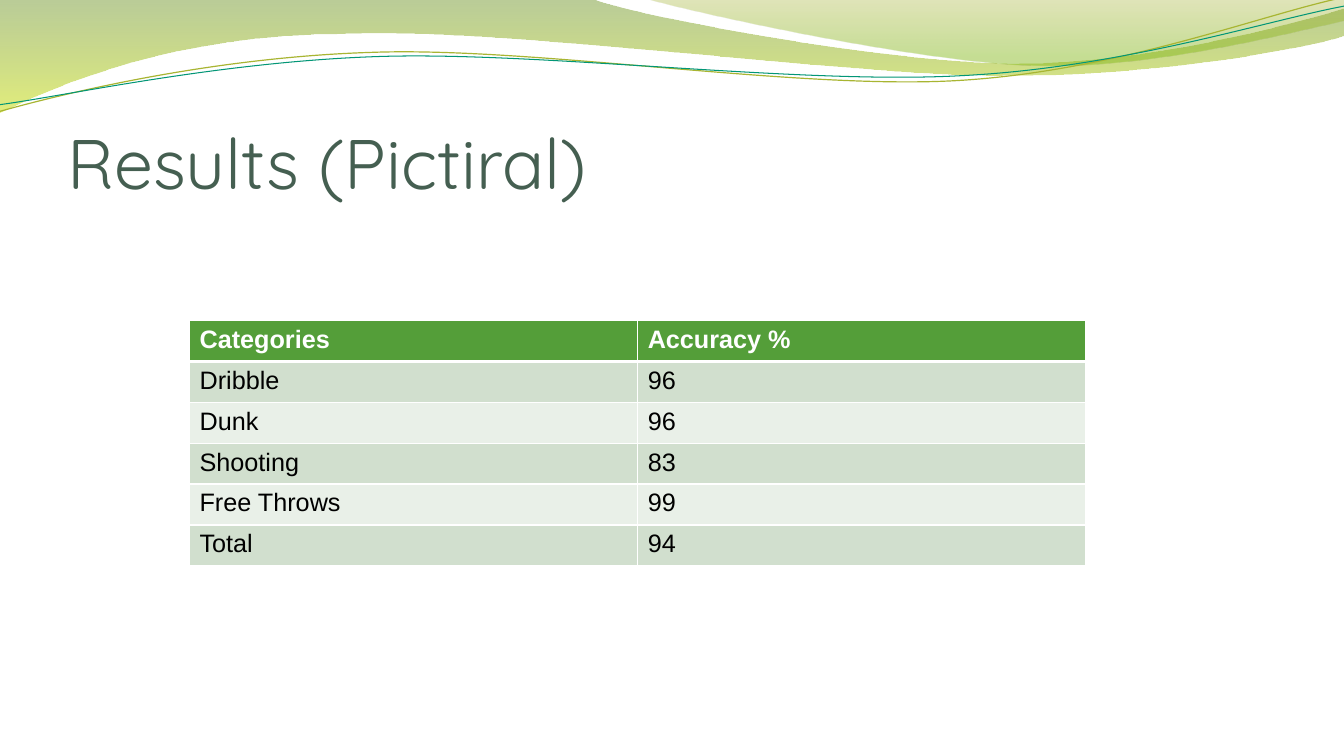
"""Build a results slide with a green wave header and an accuracy table."""
from math import cos, radians, sin

from lxml.etree import SubElement
from pptx import Presentation
from pptx.dml.color import RGBColor
from pptx.enum.text import MSO_ANCHOR
from pptx.oxml import parse_xml
from pptx.oxml.ns import nsdecls, qn
from pptx.util import Inches, Pt

TITLE = "Results (Pictiral)"
ROWS = [
    ("Categories", "Accuracy %"),
    ("Dribble", "96"),
    ("Dunk", "96"),
    ("Shooting", "83"),
    ("Free Throws", "99"),
    ("Total", "94"),
]
COLORS = {
    "title": "455F51", "header": "549E39", "odd": "D1DFCE", "even": "E9F0E8",
    "white": "FFFFFF", "black": "000000", "moss": "668F1B", "lime": "CAE00E",
    "olive": "99A719", "leaf": "80B814", "gold": "A8B532", "teal": "029676",
}
BANDS = [
    {
        "start": (-0.02, 0),
        "segments": [
            (5.87, -0.01),
            (6.34, 0.17, 8.84, 0.63, 10.11, 0.63),
            (11.37, 0.63, 12.77, 0.26, 13.33, 0.09),
            (13.34, 0.36),
            (13.11, 0.44, 11.59, 0.76, 9.94, 0.75),
            (8.29, 0.75, 5.09, 0.28, 3.43, 0.34),
            (1.72, 0.35, 0.61, 0.83, -0.02, 1.13),
        ],
        "stops": [(0, "moss", 45), (1, "lime", 55)],
    },
    {
        "start": (6.39, -0.01),
        "segments": [
            (6.79, 0.11, 9.09, 0.62, 10.25, 0.65),
            (11.4, 0.69, 12.81, 0.32, 13.33, 0.21),
            (13.33, 0),
        ],
        "stops": [(0, "olive", 30), (0.8, "leaf", 45)],
    },
]
STRANDS = [
    {
        "start": (-0.02, 1.11),
        "segments": [
            (0.62, 0.93, 2.09, 0.57, 3.68, 0.52),
            (5.26, 0.46, 7.88, 0.89, 9.48, 0.8),
            (11.08, 0.71, 12.5, 0.15, 13.3, -0.02),
        ],
        "line": ("gold", 0.85),
    },
    {
        "start": (-0.02, 1.04),
        "segments": [
            (0.61, 0.96, 2.17, 0.61, 3.77, 0.56),
            (5.36, 0.51, 7.94, 0.84, 9.54, 0.75),
            (11.13, 0.67, 12.54, 0.21, 13.33, 0.06),
        ],
        "line": ("teal", 0.75),
    },
]
STRAND_TILT = -2
STRAND_CENTER = (6.64, 0.58)
TABLE_LEFT, TABLE_TOP, TABLE_WIDTH = 1.88, 3.18, 8.89
ROW_HEIGHT = Pt(29.2)


def rgb(name):
    return RGBColor.from_string(COLORS[name])


def turn(point, degrees):
    angle = radians(degrees)
    x, y = (value - middle for value, middle in zip(point, STRAND_CENTER))
    return (STRAND_CENTER[0] + x * cos(angle) - y * sin(angle),
            STRAND_CENTER[1] + x * sin(angle) + y * cos(angle))


def add_wave(slide, wave, close, tilt=0):
    points = [wave["start"]]
    for segment in wave["segments"]:
        points.extend(zip(segment[::2], segment[1::2]))
    start, *rest = [tuple(Inches(v) for v in turn(point, -tilt)) for point in points]
    builder = slide.shapes.build_freeform(*start)
    builder.add_line_segments(rest, close=close)
    shape = builder.convert_to_shape()
    shape.shadow.inherit = False
    shape.rotation = tilt
    steps = iter(list(shape._element.iter(qn("a:lnTo"))))
    for segment in wave["segments"]:
        first = next(steps)
        if len(segment) == 6:
            curve = parse_xml(f'<a:cubicBezTo {nsdecls("a")}/>')
            first.addprevious(curve)
            for step in (first, next(steps), next(steps)):
                curve.append(step[0])
                step.getparent().remove(step)
    return shape


def add_band(slide, band):
    shape = add_wave(slide, band, True)
    shape.line.fill.background()
    shape.fill.gradient()
    shape.fill.gradient_angle = 270
    for stop, (position, color, _) in zip(shape.fill.gradient_stops, band["stops"]):
        stop.position = position
        stop.color.rgb = rgb(color)
    tints = shape._element.spPr.iter(qn("a:srgbClr"))
    for tint, (_, _, opacity) in zip(list(tints), band["stops"]):
        SubElement(tint, qn("a:alpha")).set("val", str(opacity * 1000))


def add_strand(slide, strand):
    shape = add_wave(slide, strand, False, STRAND_TILT)
    shape.fill.background()
    color, width = strand["line"]
    shape.line.color.rgb = rgb(color)
    shape.line.width = Pt(width)


def add_run(paragraph, text, font, size, color, bold=False):
    run = paragraph.add_run()
    run.text = text
    run.font.name = font
    run.font.size = Pt(size)
    run.font.bold = bold
    run.font.color.rgb = rgb(color)


def add_title(slide):
    box = slide.shapes.add_textbox(Inches(0.67), Inches(0.77), Inches(12), Inches(1.25))
    frame = box.text_frame
    frame.word_wrap = True
    frame.vertical_anchor = MSO_ANCHOR.BOTTOM
    frame.margin_left = frame.margin_right = frame.margin_bottom = 0
    add_run(frame.paragraphs[0], TITLE, "Quicksand", 50, "title")


def set_borders(cell, widths):
    properties = cell._tc.get_or_add_tcPr()
    for index, (side, width) in enumerate(widths.items()):
        properties.insert(index, parse_xml(
            f'<a:ln{side} {nsdecls("a")} w="{Pt(width)}"><a:solidFill>'
            f'<a:srgbClr val="{COLORS["white"]}"/></a:solidFill></a:ln{side}>'
        ))


def add_results(slide):
    table = slide.shapes.add_table(
        len(ROWS), len(ROWS[0]), Inches(TABLE_LEFT), Inches(TABLE_TOP),
        Inches(TABLE_WIDTH), ROW_HEIGHT * len(ROWS),
    ).table
    for row, values in enumerate(ROWS):
        header = row == 0
        fill = "header" if header else ("odd" if row % 2 else "even")
        for column, value in enumerate(values):
            cell = table.cell(row, column)
            cell.fill.solid()
            cell.fill.fore_color.rgb = rgb(fill)
            set_borders(cell, {
                "L": 1, "R": 1, "T": 3 if row == 1 else 1, "B": 3 if header else 1,
            })
            add_run(cell.text_frame.paragraphs[0], value, "Arial", 18,
                    "white" if header else "black", header)


def main():
    presentation = Presentation()
    presentation.slide_width = Inches(13.33)
    presentation.slide_height = Inches(7.5)
    slide = presentation.slides.add_slide(presentation.slide_layouts[6])
    for band in BANDS:
        add_band(slide, band)
    for strand in STRANDS:
        add_strand(slide, strand)
    add_title(slide)
    add_results(slide)
    presentation.save("out.pptx")


if __name__ == "__main__":
    main()
